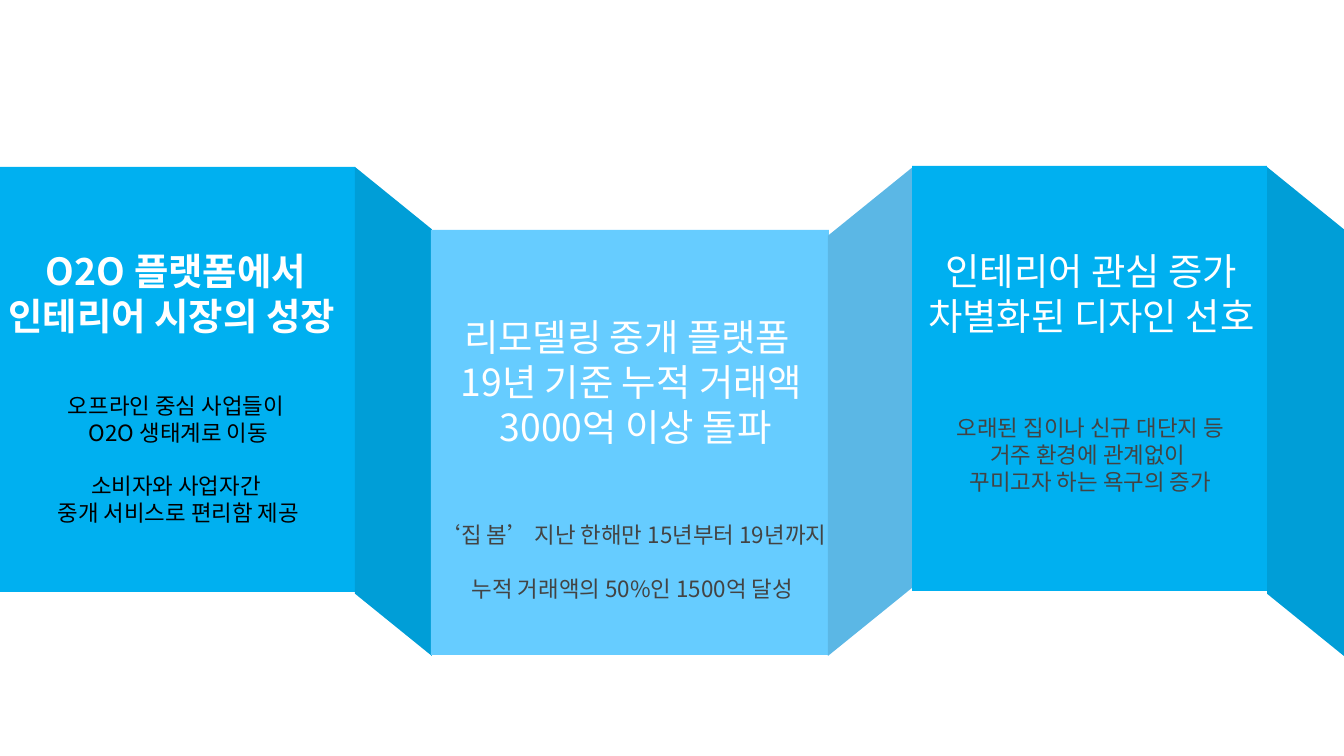
import dataclasses

import lxml.etree
import pptx
import pptx.dml.color
import pptx.enum.shapes
import pptx.enum.text
import pptx.oxml.ns
import pptx.shapes.autoshape
import pptx.slide
import pptx.util

EMU_PER_PX = 914400 / 134.4
FONT = "Noto Sans CJK KR"
LINE_HEIGHT = 1.2
PANEL_HEIGHT = 425
FOLD_HEIGHT = 489
FOLD_TOP = 167
BLUE, LIGHT_BLUE = "00B0F0", "66CCFF"
WHITE, BLACK, GRAY = "FFFFFF", "000000", "434343"
MIDDLE = pptx.enum.text.MSO_ANCHOR.TOP
BOTTOM = pptx.enum.text.MSO_ANCHOR.BOTTOM


@dataclasses.dataclass
class Box:
    left: int
    top: int
    width: int
    height: int


@dataclasses.dataclass
class Panel:
    face: Box
    fold_left: int
    fold_width: int
    rising: bool
    fill: str
    heading_box: Box
    heading: list[str]
    body_box: Box
    body: list[str]
    body_color: str = GRAY
    gap_before: int | None = None
    is_title: bool = False


PANELS = [
    Panel(Box(0, 167, 355, PANEL_HEIGHT), 355, 77, False, BLUE,
          Box(-35, 255, 422, 96), ["O2O 플랫폼에서\v인테리어 시장의 성장 "],
          Box(4, 379, 349, 120),
          ["오프라인 중심 사업들이 ", "O2O 생태계로 이동",
           "소비자와 사업자간 ", "중개 서비스로 편리함 제공"],
          body_color=BLACK, gap_before=2, is_title=True),
    Panel(Box(431, 230, 398, PANEL_HEIGHT), 828, 85, True, LIGHT_BLUE,
          Box(366, 294, 531, 168),
          ["리모델링 중개 플랫폼 ", "19년 기준 누적 거래액", " 3000억 이상 돌파"],
          Box(384, 508, 497, 82),
          ["‘집 봄’ 지난 한해만 15년부터 19년까지",
           "누적 거래액의 50%인 1500억 달성"],
          gap_before=1),
    Panel(Box(912, 166, 355, PANEL_HEIGHT), 1267, 77, False, BLUE,
          Box(832, 255, 519, 96), ["인테리어 관심 증가\v차별화된 디자인 선호"],
          Box(876, 401, 429, 138),
          ["오래된 집이나 신규 대단지 등", "거주 환경에 관계없이 ",
           "꾸미고자 하는 욕구의 증가"]),
]


def px(length: float) -> pptx.util.Emu:
    return pptx.util.Emu(round(length * EMU_PER_PX))


def rgb(color: str) -> pptx.dml.color.RGBColor:
    return pptx.dml.color.RGBColor.from_string(color)


def place(shape, box: Box) -> None:
    shape.left, shape.top = px(box.left), px(box.top)
    shape.width, shape.height = px(box.width), px(box.height)


def add_filled_shape(page: pptx.slide.Slide, kind, box: Box,
                     fill: str) -> pptx.shapes.autoshape.Shape:
    shape = page.shapes.add_shape(kind, 0, 0, 0, 0)
    place(shape, box)
    shape.shadow.inherit = False
    shape.fill.solid()
    shape.fill.fore_color.rgb = rgb(fill)
    shape.line.fill.background()
    return shape


def add_fold(page: pptx.slide.Slide, panel: Panel, fill: str):
    """Draw a parallelogram turned upright, sloping down or up to the right."""
    box = Box(panel.fold_left + (panel.fold_width - FOLD_HEIGHT) // 2,
              FOLD_TOP + (FOLD_HEIGHT - panel.fold_width) // 2,
              FOLD_HEIGHT, panel.fold_width)
    kind = pptx.enum.shapes.MSO_SHAPE.PARALLELOGRAM
    fold = add_filled_shape(page, kind, box, fill)
    fold.adjustments[0] = 0.81
    fold.rotation = 90 if panel.rising else 270
    if panel.rising:
        fold.element.spPr.find(pptx.oxml.ns.qn("a:xfrm")).set("flipV", "1")
    return fold


def set_opacity(shape: pptx.shapes.autoshape.Shape, percent: int) -> None:
    solid = shape.element.spPr.find(pptx.oxml.ns.qn("a:solidFill"))
    alpha = lxml.etree.SubElement(solid[0], pptx.oxml.ns.qn("a:alpha"))
    alpha.set("val", str(percent * 1000))


def write_text(shape, box: Box, lines: list[str], *, size: int, color: str,
               anchor=MIDDLE, bold: bool = False,
               gap_before: int | None = None) -> None:
    """Fill a text shape; gap_before is the line that starts a new block."""
    place(shape, box)
    frame = shape.text_frame
    frame.word_wrap = True
    frame.auto_size = pptx.enum.text.MSO_AUTO_SIZE.NONE
    frame.vertical_anchor = anchor
    frame.margin_left = frame.margin_right = px(13)
    frame.margin_top = frame.margin_bottom = px(13)
    pitch = pptx.util.Pt(size * LINE_HEIGHT)
    for index, line in enumerate(lines):
        para = frame.paragraphs[0] if index == 0 else frame.add_paragraph()
        para.text = line
        para.alignment = pptx.enum.text.PP_ALIGN.CENTER
        para.line_spacing = pitch
        para.space_before = pitch if index == gap_before else pptx.util.Pt(0)
        for span in para.runs:
            span.font.size = pptx.util.Pt(size)
            span.font.bold = bold
            span.font.color.rgb = rgb(color)
            span.font.name = FONT
            east_asian = lxml.etree.SubElement(
                span.font._element, pptx.oxml.ns.qn("a:ea"))
            east_asian.set("typeface", FONT)


def draw_panel(page: pptx.slide.Slide, panel: Panel) -> None:
    add_filled_shape(page, pptx.enum.shapes.MSO_SHAPE.RECTANGLE,
                     panel.face, panel.fill)
    add_fold(page, panel, panel.fill)
    set_opacity(add_fold(page, panel, BLACK), 10)


def write_panel(page: pptx.slide.Slide, panel: Panel) -> None:
    if panel.is_title:
        heading = page.shapes.title
        page.shapes.element.append(heading.element)  # bring to the front
    else:
        heading = page.shapes.add_textbox(0, 0, 0, 0)
    write_text(heading, panel.heading_box, panel.heading, size=20,
               color=WHITE, anchor=BOTTOM, bold=panel.is_title)
    write_text(page.shapes.add_textbox(0, 0, 0, 0), panel.body_box, panel.body,
               size=12, color=panel.body_color, gap_before=panel.gap_before)


def main() -> None:
    deck = pptx.Presentation()
    deck.slide_width, deck.slide_height = px(1344), px(756)
    page = deck.slides.add_slide(deck.slide_layouts.get_by_name("Title Only"))
    for panel in PANELS:
        draw_panel(page, panel)
    for panel in PANELS:
        write_panel(page, panel)
    deck.save("out.pptx")


if __name__ == "__main__":
    main()
